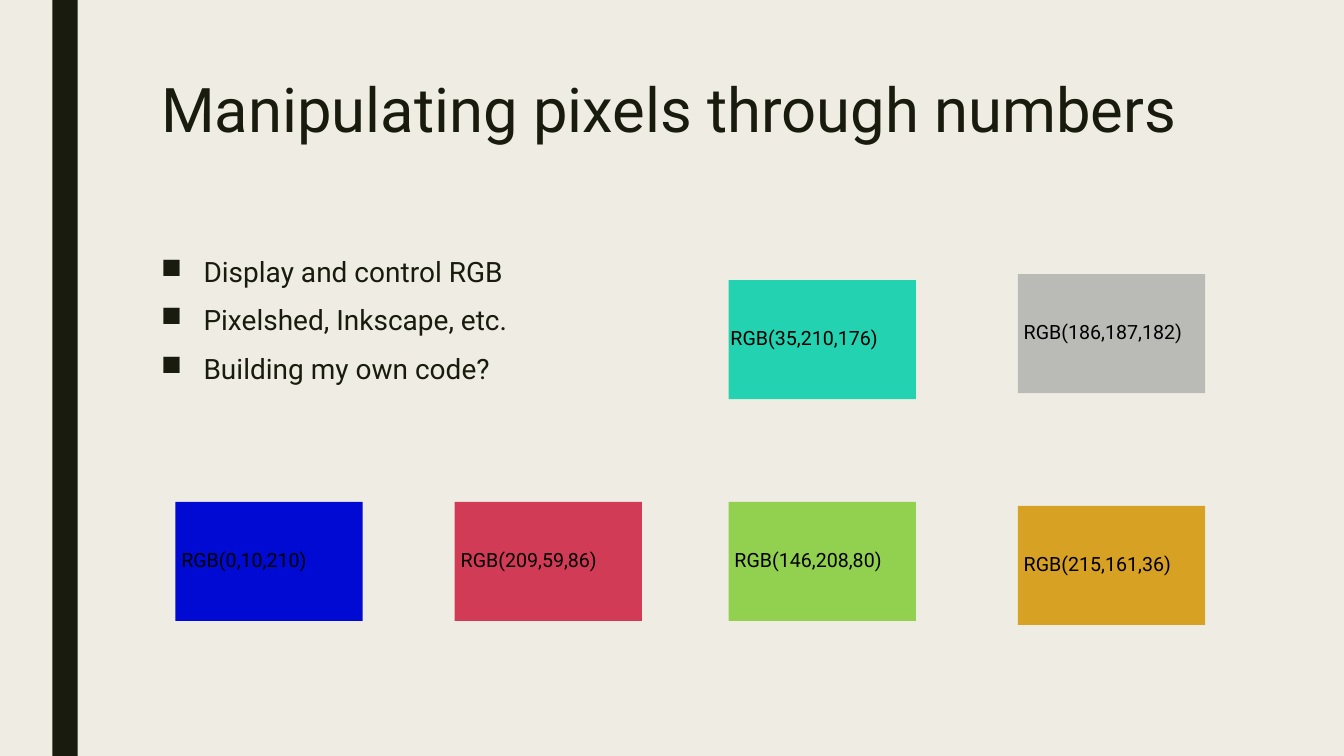
"""Build the slide on manipulating pixels through RGB numbers."""
from pptx import Presentation
from pptx.dml.color import RGBColor
from pptx.enum.shapes import MSO_SHAPE as SHAPE
from pptx.oxml.ns import qn
from pptx.util import Cm, Pt
from lxml import etree

COLORS = {
    "background": "EFEDE3",
    "ink": "191B0E",
    "label": "000000",
    "teal": "23D2B0",
    "green": "92D050",
    "red": "D13B56",
    "blue": "000AD2",
    "gold": "D7A124",
    "grey": "BABBB6",
}
TITLE = "Manipulating pixels through numbers"
BULLETS = ["Display and control RGB", "Pixelshed, Inkscape, etc.", "Building my own code?"]
BULLET_FORMAT = {"line_spacing": 0.94, "space_after": Pt(2)}
SWATCHES = [
    ("teal", 18.36, 7.06, -0.2),
    ("green", 18.36, 12.65, -0.1),
    ("red", 11.46, 12.65, -0.1),
    ("blue", 4.42, 12.65, -0.1),
    ("gold", 25.65, 12.75, -0.1),
    ("grey", 25.65, 6.91, -0.1),
]


def add_rect(name, x, y, w, h):
    sp = s.shapes.add_shape(SHAPE.RECTANGLE, Cm(x), Cm(y), Cm(w), Cm(h))
    sp.shadow.inherit = False
    sp.fill.solid()
    sp.fill.fore_color.rgb = RGBColor.from_string(COLORS[name])
    sp.line.fill.background()


def add_text(lines, x, y, w, h, size, color):
    tf = s.shapes.add_textbox(Cm(x), Cm(y), Cm(w), Cm(h)).text_frame
    tf.word_wrap = True
    tf.text = "\n".join(lines)
    for p in tf.paragraphs:
        for r in p.runs:
            for key, value in {"name": "Roboto", "size": Pt(size)}.items():
                setattr(r.font, key, value)
            r.font.color.rgb = RGBColor.from_string(COLORS[color])
    return tf


prs = Presentation()
prs.slide_width, prs.slide_height = Cm(33.87), Cm(19.05)
s = prs.slides.add_slide(prs.slide_layouts[6])
s.background.fill.solid()
s.background.fill.fore_color.rgb = RGBColor.from_string(COLORS["background"])

add_rect("ink", 1.32, 0, 0.64, 19.05)

tf = add_text([TITLE], 3.81, 1.9, 26.67, 4.11, 44, "ink")
tf.paragraphs[0].line_spacing = 0.89

tf = add_text(BULLETS, 3.81, 6.35, 26.67, 9.96, 20, "ink")
for i, p in enumerate(tf.paragraphs):
    pPr = p._p.get_or_add_pPr()
    pPr.set("marL", str(Cm(1.07)))
    pPr.set("indent", str(Cm(-1.07)))
    etree.SubElement(pPr, qn("a:buChar")).set("char", "■")
    for key, value in BULLET_FORMAT.items():
        setattr(p, key, value)
    if i:
        p.space_before = Pt(10)

for name, x, y, shift in SWATCHES:
    add_rect(name, x, y, 4.72, 3)
    red, green, blue = RGBColor.from_string(COLORS[name])
    add_text([f"RGB({red},{green},{blue})"], x + shift, y + 1.03, 4.93, 0.86, 14, "label")

prs.save("out.pptx")
